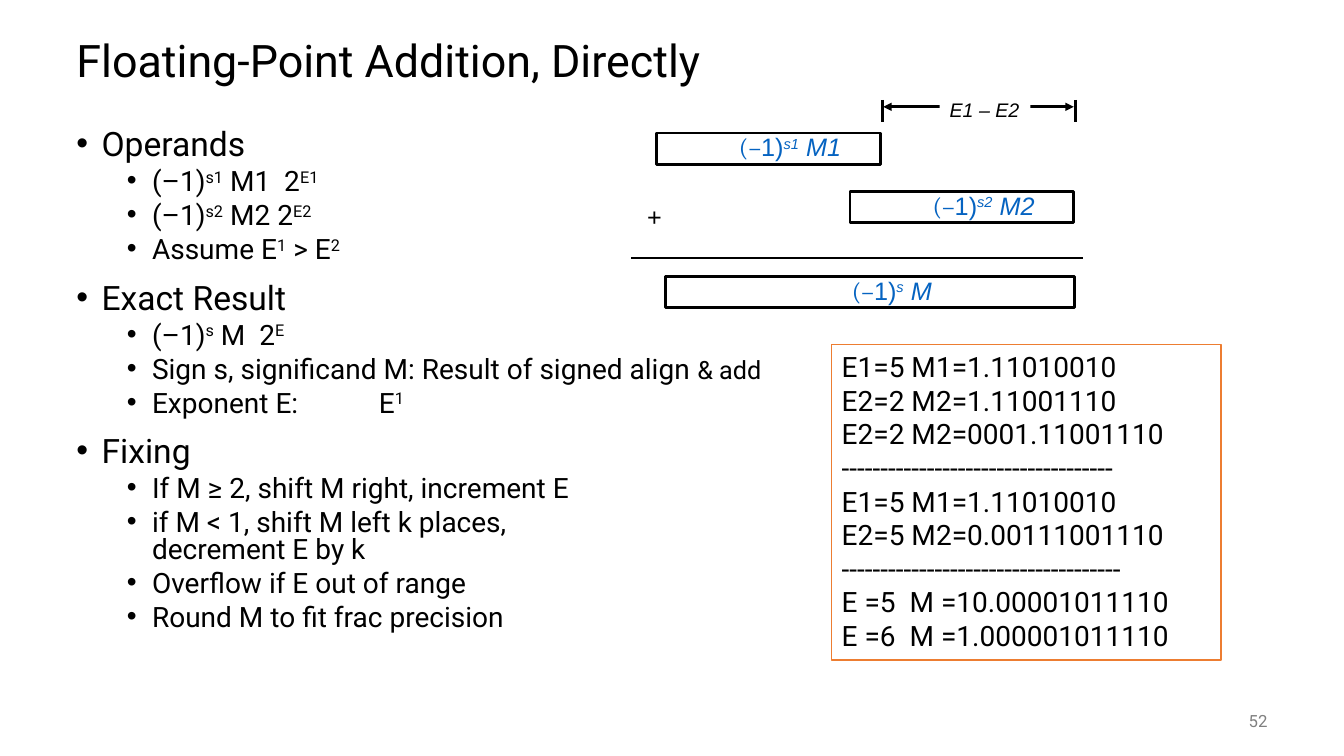
import pptx
import pptx.util
import pptx.dml.color
import pptx.enum.shapes
import pptx.enum.text
import pptx.oxml.ns
from lxml import etree

Inches, Pt = pptx.util.Inches, pptx.util.Pt
RGBColor = pptx.dml.color.RGBColor
ALIGN = pptx.enum.text.PP_ALIGN
ANCHOR = pptx.enum.text.MSO_ANCHOR
qn = pptx.oxml.ns.qn

BLACK = RGBColor(0x00, 0x00, 0x00)
WHITE = RGBColor(0xFF, 0xFF, 0xFF)
BLUE = RGBColor(0x05, 0x63, 0xC1)
ORANGE = RGBColor(0xED, 0x7D, 0x31)
GRAY = RGBColor(0x80, 0x80, 0x80)


class SlideBuilder:
    """Holds the text style and the slide being filled."""

    def __init__(self, slide, font="Roboto", color=BLACK):
        self.slide, self.font, self.color = slide, font, color

    def run(self, p, text, size, font=None, color=None, italic=False, sup=False):
        r = p.add_run()
        r.text = text
        r.font.size = Pt(size)
        r.font.name = font or self.font
        r.font.color.rgb = self.color if color is None else color
        if italic:
            r.font.italic = True
        if sup:
            r.font._element.set("baseline", "30000")

    def frame(self, sp, anchor, wrap):
        tf = sp.text_frame
        tf.word_wrap = wrap
        tf.vertical_anchor = anchor
        return tf

    def text(self, x, y, w, h, anchor=ANCHOR.TOP, wrap=True):
        sp = self.slide.shapes.add_textbox(Inches(x), Inches(y), Inches(w), Inches(h))
        return self.frame(sp, anchor, wrap)

    def box(self, x, y, w, h, line=None, width=2, anchor=ANCHOR.TOP):
        sp = self.slide.shapes.add_shape(
            pptx.enum.shapes.MSO_SHAPE.RECTANGLE,
            Inches(x), Inches(y), Inches(w), Inches(h))
        sp.shadow.inherit = False
        sp.fill.solid()
        sp.fill.fore_color.rgb = WHITE
        if line is None:
            sp.line.fill.background()
        else:
            sp.line.color.rgb = line
            sp.line.width = Pt(width)
        tf = self.frame(sp, anchor, False)
        tf.paragraphs[0].alignment = ALIGN.LEFT
        return tf

    def line(self, x1, y1, x2, y2, arrows=False):
        cn = self.slide.shapes.add_connector(
            pptx.enum.shapes.MSO_CONNECTOR.STRAIGHT,
            Inches(x1), Inches(y1), Inches(x2), Inches(y2))
        cn.line.color.rgb = BLACK
        cn.line.width = Pt(2)
        if arrows:
            ln = cn.line._get_or_add_ln()
            for end in ("a:headEnd", "a:tailEnd"):
                etree.SubElement(ln, qn(end), type="triangle")
        etree.SubElement(cn._element.spPr, qn("a:effectLst"))

    def bullet(self, tf, level, text, first):
        """Text between bars is superscript; a double tilde starts smaller text."""
        p = tf.paragraphs[0] if first else tf.add_paragraph()
        p.level = level
        p.line_spacing = 0.8
        p.space_before = Pt(0 if first else 5 if level else 14)
        pPr = p._p.get_or_add_pPr()
        pPr.set("marL", str(Inches(0.75 if level else 0.25)))
        pPr.set("indent", str(Inches(-0.25)))
        etree.SubElement(pPr, qn("a:buFont"), typeface="Arial")
        etree.SubElement(pPr, qn("a:buChar"), char="•")
        if "\t" in text:
            tabs = etree.SubElement(pPr, qn("a:tabLst"))
            etree.SubElement(tabs, qn("a:tab"), pos=str(Inches(3)), algn="l")
        size = 20 if level else 24
        for n, row in enumerate(text.split("\n")):
            if n:
                p.add_line_break()
            main, _, small = row.partition("~~")
            for i, part in enumerate(main.split("|")):
                if part:
                    self.run(p, part, size, sup=i % 2 == 1)
            if small:
                self.run(p, small, 18)

    def significand(self, x, y, w, sign, name):
        tf = self.box(x, y, w, 0.31, BLACK, anchor=ANCHOR.MIDDLE)
        p = tf.paragraphs[0]
        p.alignment = ALIGN.CENTER
        p.line_spacing = 0.9
        p._p.get_or_add_pPr().set("marL", str(Inches(0.5)))
        self.run(p, "(–", 18, "Cambria", BLUE)
        self.run(p, "1)", 18, "Arial", BLUE)
        self.run(p, sign, 18, "Arial", BLUE, italic=True, sup=True)
        self.run(p, f" {name} ", 18, "Arial", BLUE, italic=True)


OUTLINE = [
    (0, "Operands"),
    (1, "(–1)|s1| M1  2|E1|"),
    (1, "(–1)|s2| M2 2|E2|"),
    (1, "Assume E|1| > E|2|"),
    (0, "Exact Result"),
    (1, "(–1)|s| M  2|E|"),
    (1, "Sign s, significand M: Result of signed align ~~& add"),
    (1, "Exponent E: \tE|1|"),
    (0, "Fixing"),
    (1, "If M ≥ 2, shift M right, increment E"),
    (1, "if M < 1, shift M left k places, \ndecrement E by k"),
    (1, "Overflow if E out of range"),
    (1, "Round M to fit frac precision"),
]

EXAMPLE = [
    "E1=5 M1=1.11010010",
    "E2=2 M2=1.11001110",
    "E2=2 M2=0001.11001110",
    "-" * 35,
    "E1=5 M1=1.11010010",
    "E2=5 M2=0.00111001110",
    "-" * 36,
    "E =5  M =10.00001011110",
    "E =6  M =1.000001011110",
]


def main():
    prs = pptx.Presentation()
    prs.slide_width, prs.slide_height = Inches(13.33), Inches(7.5)
    s = SlideBuilder(prs.slides.add_slide(prs.slide_layouts[6]))

    # Title
    p = s.text(0.66, 0.25, 12, 0.75, ANCHOR.MIDDLE).paragraphs[0]
    p.line_spacing = 0.9
    s.run(p, "Floating-Point Addition, Directly", 32)

    # Outline
    tf = s.text(0.66, 1.25, 12, 5.5)
    for i, (level, text) in enumerate(OUTLINE):
        s.bullet(tf, level, text, first=i == 0)

    # Aligned operands and the exponent gap
    s.significand(6.51, 1.32, 2.22, "s1", "M1")
    s.significand(8.43, 1.9, 2.22, "s2", "M2")
    for x in (8.75, 10.67):
        s.line(x, 0.99, x, 1.21)
    s.line(8.76, 1.06, 10.65, 1.06, arrows=True)
    p = s.box(9.32, 0.92, 0.9, 0.33).paragraphs[0]
    s.run(p, "E1 – E2", 14, "Arial", italic=True)

    # Sum
    p = s.text(6.32, 1.95, 0.34, 0.4, wrap=False).paragraphs[0]
    s.run(p, "+", 18, "Arial")
    s.line(6.26, 2.56, 10.74, 2.56)
    s.significand(6.6, 2.74, 4.06, "s", "M")

    # Worked example
    tf = s.box(8.25, 3.42, 3.86, 3.13, ORANGE, width=1)
    for i, text in enumerate(EXAMPLE):
        p = tf.add_paragraph() if i else tf.paragraphs[0]
        p.alignment = ALIGN.LEFT
        s.run(p, text, 20)

    # Slide number
    p = s.text(11.67, 6.95, 1, 0.4, ANCHOR.MIDDLE).paragraphs[0]
    p.alignment = ALIGN.RIGHT
    s.run(p, "52", 12, color=GRAY)

    prs.save("out.pptx")


if __name__ == "__main__":
    main()
